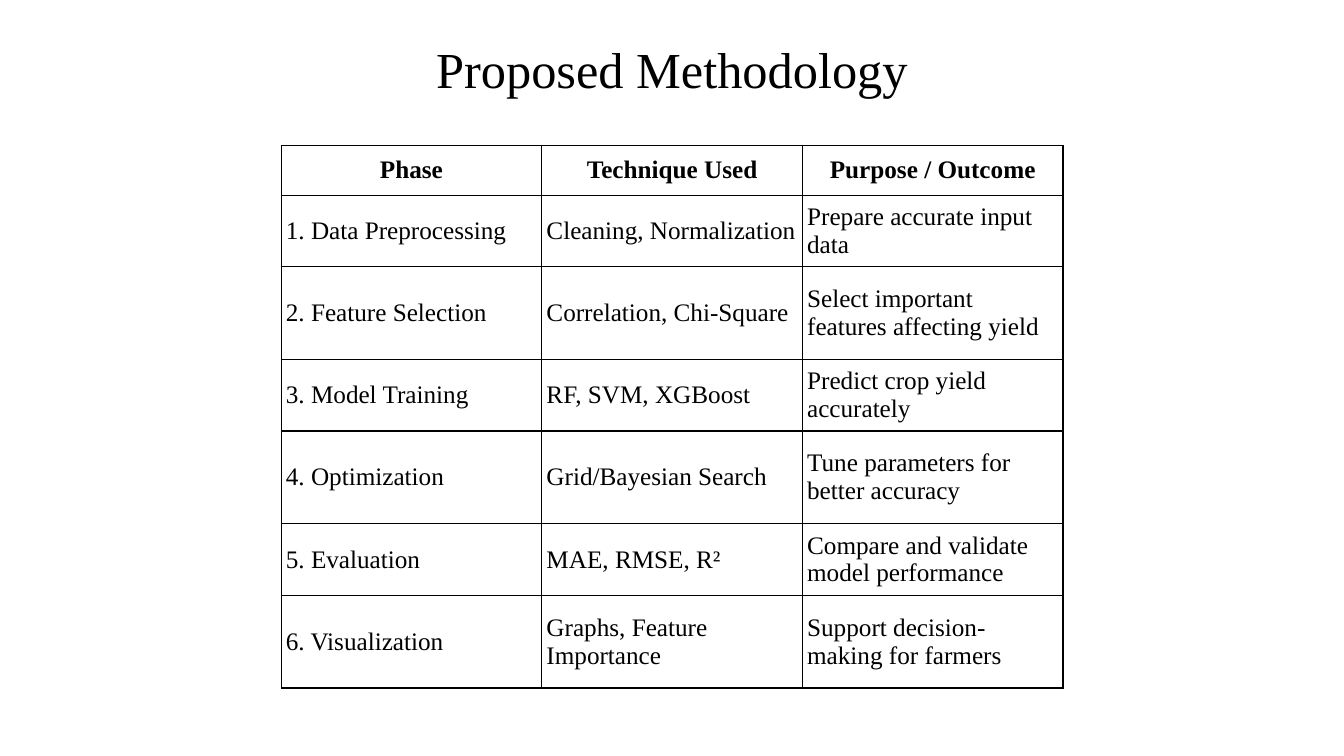
from lxml.etree import SubElement
from pptx import Presentation
from pptx.dml.color import RGBColor
from pptx.enum.text import MSO_ANCHOR, PP_ALIGN
from pptx.oxml.ns import qn
from pptx.util import Pt

# Content
TITLE = "Proposed Methodology"
HEADINGS = ("Phase", "Technique Used", "Purpose / Outcome")
PHASES = [
    ("1. Data Preprocessing", "Cleaning, Normalization", "Prepare accurate input data"),
    ("2. Feature Selection", "Correlation, Chi-Square", "Select important features affecting yield"),
    ("3. Model Training", "RF, SVM, XGBoost", "Predict crop yield accurately"),
    ("4. Optimization", "Grid/Bayesian Search", "Tune parameters for better accuracy"),
    ("5. Evaluation", "MAE, RMSE, R²", "Compare and validate model performance"),
    ("6. Visualization", "Graphs, Feature Importance", "Support decision-making for farmers"),
]

# Style and measures, in points
BLACK = RGBColor(0, 0, 0)
FONT = "Times New Roman"
INSET_X, INSET_Y = Pt(3.4), Pt(1.5)
TABLE_LEFT, TABLE_TOP = 200.8, 104
COLUMN_WIDTH = 186.2
HEADING_HEIGHT = 35.4
PHASE_HEIGHTS = (51.1, 66.3)  # alternating


def set_insets(holder):
    holder.margin_left = holder.margin_right = INSET_X
    holder.margin_top = holder.margin_bottom = INSET_Y
    holder.vertical_anchor = MSO_ANCHOR.MIDDLE


def write(frame, wording, size, align, bold=False):
    paragraph = frame.paragraphs[0]
    paragraph.alignment = align
    run = paragraph.add_run()
    run.text = wording
    run.font.name = FONT
    run.font.size = Pt(size)
    run.font.bold = bold
    run.font.color.rgb = BLACK


def draw_borders(cell):
    properties = cell._tc.get_or_add_tcPr()
    for position, side in enumerate(("a:lnL", "a:lnR", "a:lnT", "a:lnB")):
        border = SubElement(properties, qn(side), w=str(Pt(1)))
        properties.insert(position, border)
        fill = SubElement(border, qn("a:solidFill"))
        SubElement(fill, qn("a:srgbClr"), val=str(BLACK))


presentation = Presentation()
presentation.slide_width, presentation.slide_height = Pt(960), Pt(540)
slide = presentation.slides.add_slide(presentation.slide_layouts[6])

# Title
title = slide.shapes.add_textbox(Pt(264), Pt(18.8), Pt(432), Pt(60)).text_frame
title.word_wrap = True
set_insets(title)
write(title, TITLE, 36, PP_ALIGN.CENTER)

# Table of phases
rows = [HEADINGS, *PHASES]
heights = [HEADING_HEIGHT] + [PHASE_HEIGHTS[i % 2] for i in range(len(PHASES))]
phase_table = slide.shapes.add_table(
    len(rows), len(HEADINGS), Pt(TABLE_LEFT), Pt(TABLE_TOP),
    Pt(COLUMN_WIDTH * len(HEADINGS)), Pt(sum(heights)),
).table
phase_table.horz_banding = False
for column in phase_table.columns:
    column.width = Pt(COLUMN_WIDTH)

for r, (entries, height) in enumerate(zip(rows, heights)):
    phase_table.rows[r].height = Pt(height)
    is_heading = r == 0
    for c, entry in enumerate(entries):
        cell = phase_table.cell(r, c)
        set_insets(cell)
        cell.fill.background()
        draw_borders(cell)
        align = PP_ALIGN.CENTER if is_heading else PP_ALIGN.LEFT
        write(cell.text_frame, entry, 18, align, is_heading)

presentation.save("out.pptx")
